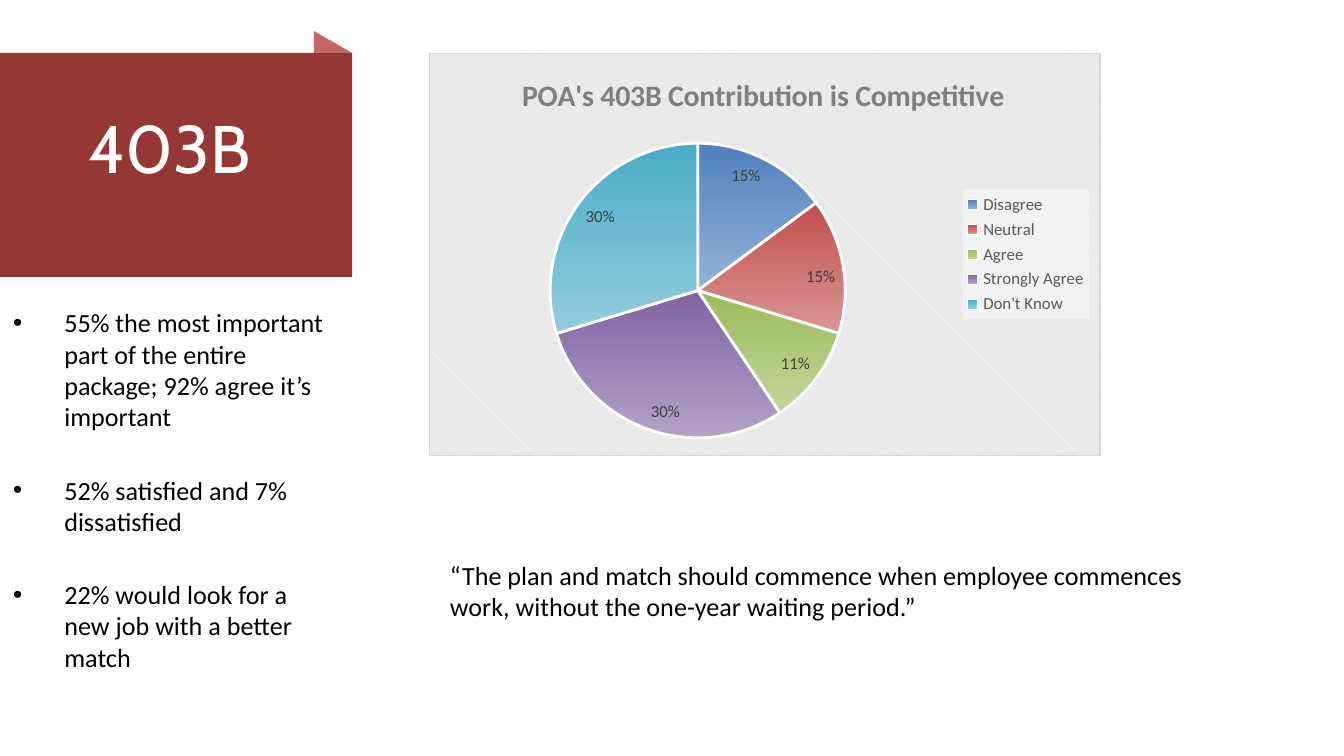
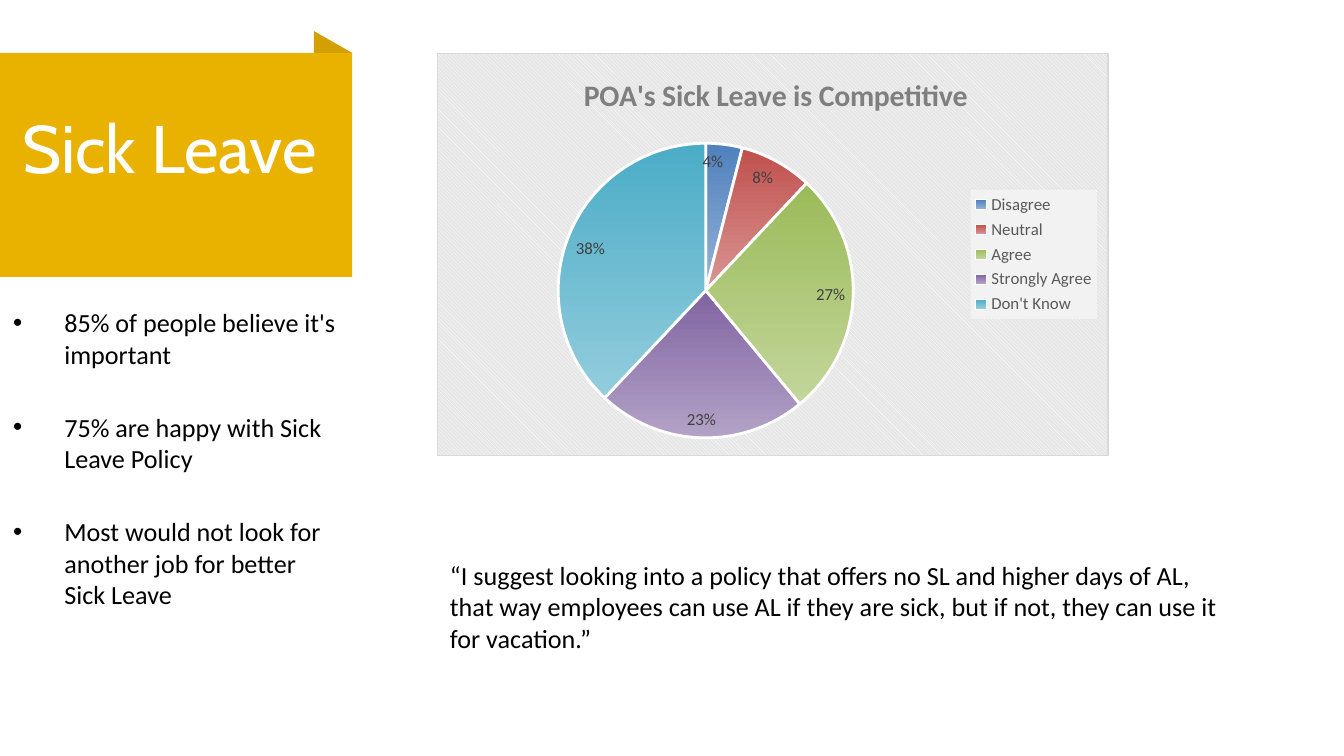
"""Build the two survey slides on 403B and sick leave benefits."""
from dataclasses import dataclass

from lxml.etree import _Element
from pptx import Presentation
from pptx.chart.chart import Chart
from pptx.chart.data import CategoryChartData
from pptx.dml.color import RGBColor
from pptx.enum.chart import XL_CHART_TYPE, XL_LABEL_POSITION, XL_LEGEND_POSITION
from pptx.enum.shapes import MSO_SHAPE
from pptx.enum.text import MSO_ANCHOR, MSO_AUTO_SIZE, PP_ALIGN
from pptx.oxml import parse_xml
from pptx.oxml.ns import nsdecls, qn
from pptx.slide import Slide
from pptx.text.text import Font, TextFrame, _Paragraph
from pptx.util import Inches, Pt

WIDTH = Inches(10)
HEIGHT = WIDTH * 9 // 16
BODY_FONT, TITLE_FONT = "Calibri", "Cabin"

WHITE = RGBColor(0xFF, 0xFF, 0xFF)
BLACK = RGBColor(0x00, 0x00, 0x00)
RED = RGBColor(0x95, 0x37, 0x35)
RED_FOLD = RGBColor(0xC8, 0x66, 0x64)
GOLD = RGBColor(0xEA, 0xB2, 0x00)
GOLD_FOLD = RGBColor(0xD2, 0xA0, 0x00)
HEADING_GREY = RGBColor(0x7F, 0x7F, 0x7F)
LEGEND_GREY = RGBColor(0x59, 0x59, 0x59)
LABEL_GREY = RGBColor(0x40, 0x40, 0x40)
LEGEND_FILL = RGBColor(0xF2, 0xF2, 0xF2)
CHART_FILL = RGBColor(0xE6, 0xE6, 0xE6)
CHART_BORDER = RGBColor(0xD9, 0xD9, 0xD9)

ANSWERS = ("Disagree", "Neutral", "Agree", "Strongly Agree", "Don't Know")
SLICES = (
    (RGBColor(0x4F, 0x81, 0xBD), RGBColor(0x95, 0xB3, 0xD7)),
    (RGBColor(0xC0, 0x50, 0x4D), RGBColor(0xD9, 0x96, 0x94)),
    (RGBColor(0x9B, 0xBB, 0x59), RGBColor(0xC3, 0xD6, 0x9B)),
    (RGBColor(0x80, 0x64, 0xA2), RGBColor(0xB3, 0xA2, 0xC7)),
    (RGBColor(0x4B, 0xAC, 0xC6), RGBColor(0x93, 0xCD, 0xDD)),
)


@dataclass(frozen=True)
class Box:
    """A rectangle in percent of the slide's width and height."""

    left: float
    top: float
    width: float
    height: float

    def emu(self) -> tuple[int, int, int, int]:
        """Return left, top, width and height in EMU."""
        return (
            round(WIDTH * self.left / 100),
            round(HEIGHT * self.top / 100),
            round(WIDTH * self.width / 100),
            round(HEIGHT * self.height / 100),
        )


@dataclass(frozen=True)
class Benefit:
    """Everything that differs between the benefit slides."""

    name: str
    band: RGBColor
    fold: RGBColor
    findings: tuple[str, ...]
    quote: str
    heading: str
    heading_left: float
    chart_left: float
    percents: tuple[int, ...]


BAND = Box(0, 7, 26.2, 29.65)
FOLD = Box(23.35, 4.1, 2.85, 2.9)
TITLE = Box(-0.6, 11.03, 26.4, 16.73)
FINDINGS = Box(0, 39.68, 26.2, 66.67)
QUOTE = Box(32.5, 63.3, 60, 34.13)

BENEFITS = (
    Benefit(
        "403B", RED, RED_FOLD,
        (
            "55% the most important part of the entire package; 92% agree it’s important",
            "52% satisfied and 7% dissatisfied",
            "22% would look for a new job with a better match",
        ),
        "“The plan and match should commence when employee commences work, "
        "without the one-year waiting period.”",
        "POA's 403B Contribution is Competitive", 0.13, 31.9,
        (15, 15, 11, 30, 30),
    ),
    Benefit(
        "Sick Leave", GOLD, GOLD_FOLD,
        (
            "85% of people believe it's important",
            "75% are happy with Sick Leave Policy",
            "Most would not look for another job for better Sick Leave",
        ),
        "“I suggest looking into a policy that offers no SL and higher days of AL, "
        "that way employees can use AL if they are sick, but if not, they can use it "
        "for vacation.”",
        "POA's Sick Leave is Competitive", 0.21, 32.5,
        (4, 8, 27, 23, 38),
    ),
)


def style(font: Font, size: float, color: RGBColor, name: str = BODY_FONT) -> None:
    """Set the face, size and colour of a font."""
    font.name, font.size = name, Pt(size)
    font.color.rgb = color


def add_block(s: Slide, kind: MSO_SHAPE, box: Box, color: RGBColor) -> None:
    """Draw a flat filled shape without outline."""
    sp = s.shapes.add_shape(kind, *box.emu())
    sp.shadow.inherit = False
    sp.fill.solid()
    sp.fill.fore_color.rgb = color
    sp.line.fill.background()


def add_title(s: Slide, text: str) -> None:
    """Place the title over the band."""
    sp = s.shapes.title
    sp.left, sp.top, sp.width, sp.height = TITLE.emu()
    sp.element.getparent().append(sp.element)
    tf = sp.text_frame
    tf.text = text
    tf.auto_size, tf.vertical_anchor = MSO_AUTO_SIZE.NONE, MSO_ANCHOR.MIDDLE
    p = tf.paragraphs[0]
    p.alignment = PP_ALIGN.CENTER
    style(p.runs[0].font, 36, WHITE, TITLE_FONT)


def add_text(s: Slide, box: Box, lines: tuple[str, ...]) -> TextFrame:
    """Write body paragraphs about a line apart."""
    tf = s.shapes.add_textbox(*box.emu()).text_frame
    tf.word_wrap = True
    tf.text = "\n".join(lines)
    for i, p in enumerate(tf.paragraphs):
        if i:
            p.space_before = Pt(22.4)
        style(p.runs[0].font, 14, BLACK)
    return tf


def add_bullet(p: _Paragraph) -> None:
    """Give a paragraph a hanging round bullet."""
    pr = p._p.get_or_add_pPr()
    indent = Inches(0.38)
    pr.set("marL", str(indent))
    pr.set("indent", str(-indent))
    pr.append(parse_xml(f'<a:buFont {nsdecls("a")} typeface="Arial"/>'))
    pr.append(parse_xml(f'<a:buChar {nsdecls("a")} char="•"/>'))


def set_layout(parent: _Element, index: int, target: str = "", **shares: float) -> None:
    """Fix a chart part's place in shares of the chart."""
    for old in parent.findall(qn("c:layout")):
        parent.remove(old)
    inner = f'<c:layoutTarget val="{target}"/>' if target else ""
    modes = "".join(f'<c:{k}Mode val="edge"/>' for k in shares if k in "xy")
    values = "".join(f'<c:{k} val="{v}"/>' for k, v in shares.items())
    parent.insert(index, parse_xml(
        f'<c:layout {nsdecls("c")}><c:manualLayout>{inner}{modes}{values}'
        "</c:manualLayout></c:layout>"))


def fill_chart_area(chart: Chart) -> None:
    """Hatch and outline the chart area, and tint the legend."""
    chart.element.find(qn("c:chart")).addnext(parse_xml(
        f'<c:spPr {nsdecls("c", "a")}><a:pattFill prst="dkDnDiag">'
        f'<a:fgClr><a:srgbClr val="{WHITE}"/></a:fgClr>'
        f'<a:bgClr><a:srgbClr val="{CHART_FILL}"/></a:bgClr></a:pattFill>'
        f'<a:ln w="{Pt(0.75)}"><a:solidFill><a:srgbClr val="{CHART_BORDER}"/>'
        "</a:solidFill></a:ln></c:spPr>"))
    legend = chart.element.find(".//" + qn("c:legend"))
    legend.find(qn("c:txPr")).addprevious(parse_xml(
        f'<c:spPr {nsdecls("c", "a")}><a:solidFill><a:srgbClr val="{LEGEND_FILL}"/>'
        "</a:solidFill></c:spPr>"))


def color_slices(chart: Chart) -> None:
    """Shade each slice from top to bottom with a white edge."""
    for i, colors in enumerate(SLICES):
        fmt = chart.plots[0].series[0].points[i].format
        fmt.fill.gradient()
        fmt.fill.gradient_angle = 270
        for stop, color in zip(fmt.fill.gradient_stops, colors):
            stop.color.rgb = color
        fmt.line.color.rgb = WHITE
        fmt.line.width = Pt(1.5)


def add_pie(s: Slide, benefit: Benefit) -> None:
    """Draw the pie of answers with heading, labels and legend."""
    data = CategoryChartData()
    data.categories = ANSWERS
    data.add_series("Series 1", benefit.percents)
    box = Box(benefit.chart_left, 7, 50, 53.33)
    chart = s.shapes.add_chart(XL_CHART_TYPE.PIE, *box.emu(), data).chart
    style(chart.font, 10, BLACK)

    tf = chart.chart_title.text_frame
    tf.text = benefit.heading
    r = tf.paragraphs[0].runs[0]
    style(r.font, 16, HEADING_GREY)
    r.font.bold = True
    root = chart.element
    set_layout(root.find(".//" + qn("c:title")), 1, x=benefit.heading_left, y=0.04)
    set_layout(root.find(".//" + qn("c:plotArea")), 0, "inner",
               x=0.18, y=0.22, w=0.44, h=0.74)

    chart.has_legend = True
    chart.legend.position = XL_LEGEND_POSITION.RIGHT
    chart.legend.include_in_layout = False
    style(chart.legend.font, 9, LEGEND_GREY)

    plot = chart.plots[0]
    plot.vary_by_categories = True
    plot.has_data_labels = True
    labels = plot.data_labels
    labels.show_percentage, labels.show_value = True, False
    labels.number_format, labels.number_format_is_linked = "0%", False
    labels.position = XL_LABEL_POSITION.INSIDE_END
    style(labels.font, 9, LABEL_GREY)
    color_slices(chart)
    fill_chart_area(chart)


def add_benefit(prs: Presentation, benefit: Benefit) -> None:
    """Build one benefit slide."""
    s = prs.slides.add_slide(prs.slide_layouts.get_by_name("Title Only"))
    add_block(s, MSO_SHAPE.RECTANGLE, BAND, benefit.band)
    add_title(s, benefit.name)
    add_block(s, MSO_SHAPE.RIGHT_TRIANGLE, FOLD, benefit.fold)
    for p in add_text(s, FINDINGS, benefit.findings).paragraphs:
        add_bullet(p)
    add_text(s, QUOTE, (benefit.quote,)).margin_top = Inches(0.6)
    add_pie(s, benefit)


def main() -> None:
    """Build and save the presentation."""
    prs = Presentation()
    prs.slide_width, prs.slide_height = WIDTH, HEIGHT
    for benefit in BENEFITS:
        add_benefit(prs, benefit)
    prs.save("out.pptx")


if __name__ == "__main__":
    main()
